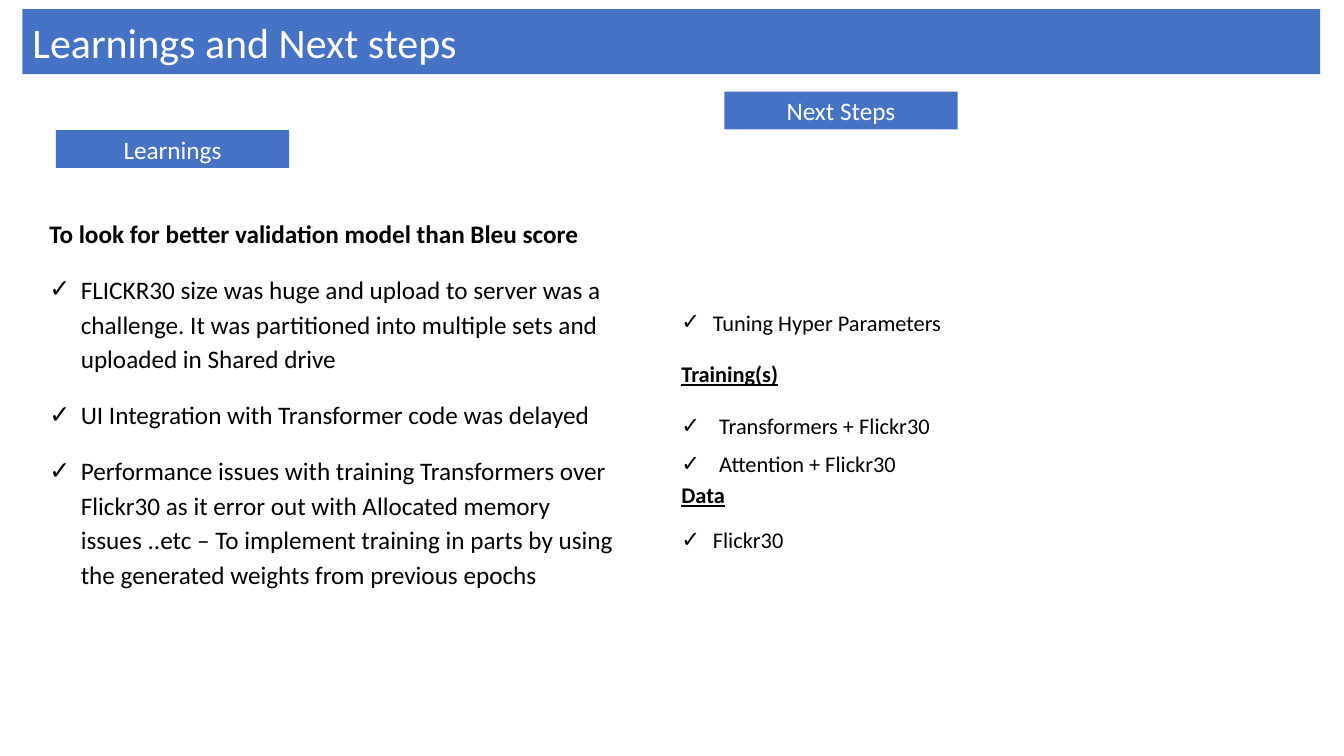
import pptx
import pptx.util
import pptx.dml.color
import pptx.enum.shapes
import pptx.enum.text
import lxml.etree

Pt = pptx.util.Pt
COLORS = {"accent": "4472C4", "light": "FFFFFF", "ink": "000000"}
FONT = "Calibri"
CHECK_INDENT = 22.5
WIDE_INDENT = 27

LEARNINGS = [
    dict(text="To look for better validation model than Bleu score", bold=True),
    dict(text="FLICKR30 size was huge and upload to server was a challenge. "
              "It was partitioned into multiple sets and uploaded in Shared drive",
         indent=CHECK_INDENT),
    dict(text="UI Integration with Transformer code was delayed", indent=CHECK_INDENT),
    dict(text="Performance issues with training Transformers over Flickr30 as it "
              "error out with Allocated memory issues ..etc – To implement training "
              "in parts by using the generated weights from previous epochs",
         indent=CHECK_INDENT),
]
NEXT_STEPS = [
    dict(text="Tuning Hyper Parameters", indent=CHECK_INDENT),
    dict(text="Training(s)", bold=True, underline=True),
    dict(text="Transformers + Flickr30", indent=WIDE_INDENT, after=0),
    dict(text="Attention + Flickr30", indent=WIDE_INDENT, after=0),
    dict(text="Data", bold=True, underline=True, before=0),
    dict(text="Flickr30", indent=CHECK_INDENT, before=0),
]


def rgb(name):
    return pptx.dml.color.RGBColor.from_string(COLORS[name])


def place(part, box):
    part.left, part.top, part.width, part.height = (Pt(length) for length in box)


def style(paragraph, size, color, bold=False, underline=False):
    font = paragraph.font
    font.name, font.size = FONT, Pt(size)
    font.bold, font.underline = bold, underline
    font.color.rgb = rgb(color)


def fill_band(band, text, size, align):
    band.fill.solid()
    band.fill.fore_color.rgb = rgb("accent")
    band.line.fill.background()
    frame = band.text_frame
    frame.text = text
    frame.word_wrap = True
    frame.auto_size = pptx.enum.text.MSO_AUTO_SIZE.NONE
    frame.vertical_anchor = pptx.enum.text.MSO_ANCHOR.MIDDLE
    frame.paragraphs[0].alignment = align
    style(frame.paragraphs[0], size, "light")


def set_bullet(paragraph, indent):
    properties = paragraph._p.get_or_add_pPr()
    properties.set("marL", str(Pt(indent)))
    properties.set("indent", str(-Pt(indent)))
    tag = "a:buChar" if indent else "a:buNone"
    bullet = lxml.etree.SubElement(properties, pptx.oxml.ns.qn(tag))
    if indent:
        bullet.set("char", "✓")


def add_title(title, box):
    place(title, box)
    fill_band(title, "Learnings and Next steps", 30, pptx.enum.text.PP_ALIGN.LEFT)


def add_heading(slide, text, box):
    heading = slide.shapes.add_shape(
        pptx.enum.shapes.MSO_SHAPE.RECTANGLE, *(Pt(length) for length in box))
    heading.shadow.inherit = False
    fill_band(heading, text, 18, pptx.enum.text.PP_ALIGN.CENTER)


def add_points(body, points, size, box):
    place(body, box)
    frame = body.text_frame
    frame.word_wrap = True
    frame.auto_size = pptx.enum.text.MSO_AUTO_SIZE.NONE
    frame.vertical_anchor = pptx.enum.text.MSO_ANCHOR.MIDDLE
    for index, point in enumerate(points):
        paragraph = frame.add_paragraph() if index else frame.paragraphs[0]
        paragraph.text = point["text"]
        set_bullet(paragraph, point.get("indent", 0))
        paragraph.line_spacing = 1.15
        paragraph.space_before = Pt(point.get("before", 5) if index else 0)
        paragraph.space_after = Pt(point.get("after", 10))
        style(paragraph, size, "ink", point.get("bold", False),
              point.get("underline", False))


def main():
    deck = pptx.Presentation()
    deck.slide_width, deck.slide_height = Pt(960), Pt(540)
    slide = deck.slides.add_slide(deck.slide_layouts[3])
    title, learnings, next_steps = slide.placeholders
    add_title(title, (16, 6.5, 927, 46.5))
    add_points(learnings, LEARNINGS, 18, (28, 132.5, 417.5, 309))
    add_points(next_steps, NEXT_STEPS, 16, (479.5, 113, 456.5, 386.5))
    add_heading(slide, "Learnings", (40, 93, 166.5, 27))
    add_heading(slide, "Next Steps", (517.5, 65.5, 166.5, 27))
    deck.save("out.pptx")


if __name__ == "__main__":
    main()
